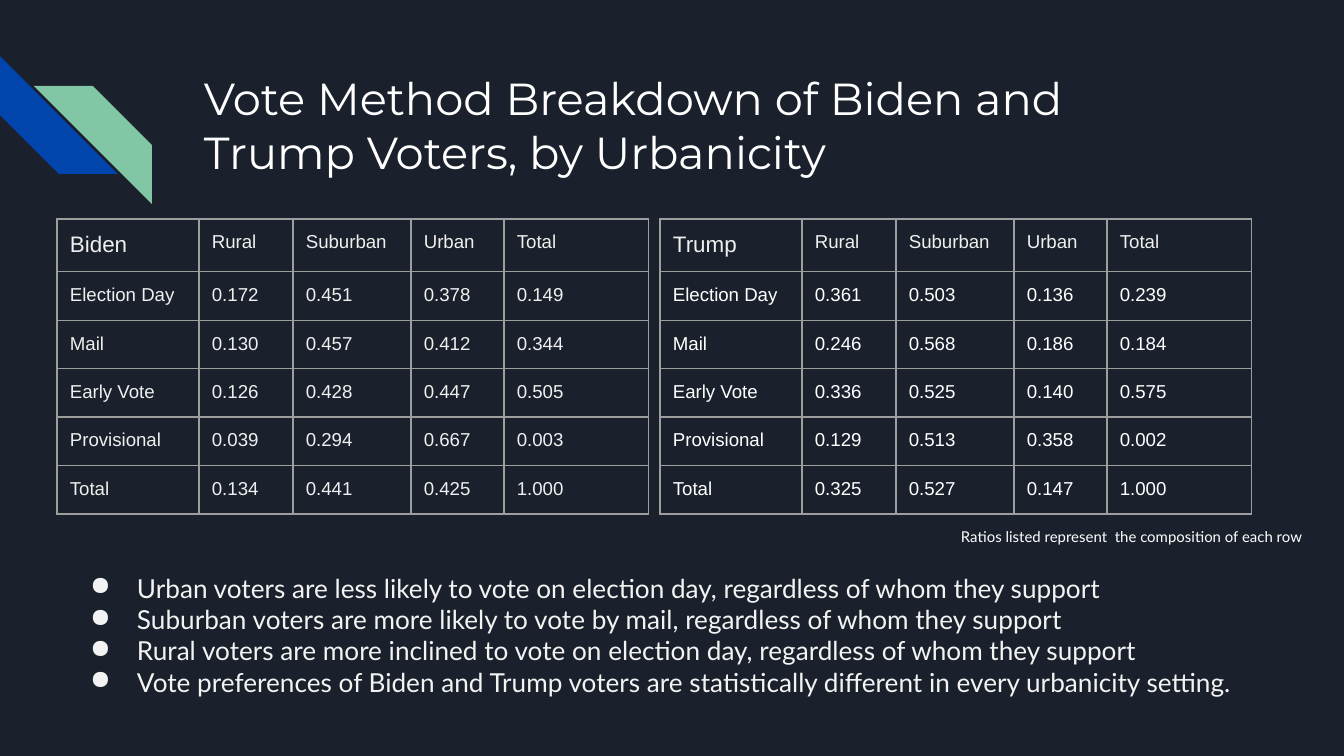
from lxml import etree
from pptx import Presentation
from pptx import util as u
from pptx.dml.color import RGBColor
from pptx.enum import shapes, text
from pptx.oxml import ns

TITLE = "Vote Method Breakdown of Biden and Trump Voters, by Urbanicity"
NOTE = "Ratios listed represent  the composition of each row"
FINDINGS = [
    "Urban voters are less likely to vote on election day, regardless of whom they support",
    "Suburban voters are more likely to vote by mail, regardless of whom they support",
    "Rural voters are more inclined to vote on election day, regardless of whom they support",
    "Vote preferences of Biden and Trump voters are statistically different in every urbanicity setting.",
]
AREAS = ["Rural", "Suburban", "Urban", "Total"]
METHODS = ["Election Day", "Mail", "Early Vote", "Provisional", "Total"]
# candidate, left edge, body colour, ratios by method
TABLES = [
    ("Biden", 57, "EFEFEF", [
        ["0.172", "0.451", "0.378", "0.149"],
        ["0.130", "0.457", "0.412", "0.344"],
        ["0.126", "0.428", "0.447", "0.505"],
        ["0.039", "0.294", "0.667", "0.003"],
        ["0.134", "0.441", "0.425", "1.000"],
    ]),
    ("Trump", 660, "FFFFFF", [
        ["0.361", "0.503", "0.136", "0.239"],
        ["0.246", "0.568", "0.186", "0.184"],
        ["0.336", "0.525", "0.140", "0.575"],
        ["0.129", "0.513", "0.358", "0.002"],
        ["0.325", "0.527", "0.147", "1.000"],
    ]),
]
# left, top, fill, rotation, mirrored
STRIPES = [(0, 56, "0145AC", 270, False), (34, 86, "82C7A5", 0, True)]
COLUMNS = [142, 94, 118, 93, 145]
TABLE_TOP, ROW, STRIPE, INSET = 219, 43, 118, 13
HEADER, BORDER = "EFEFEF", "9E9E9E"


def px(count):
    return u.Emu(round(count * 914400 / 134.4))


def color(value):
    return RGBColor.from_string(value)


def add_span(para, words, size, font, fill):
    span = para.add_run()
    span.text = words
    span.font.size = u.Pt(size)
    span.font.name = font
    span.font.color.rgb = color(fill)


def set_insets(target):
    for side in ("left", "right", "top", "bottom"):
        setattr(target, f"margin_{side}", px(INSET))


def add_bullet(para, fill):
    props = para._p.get_or_add_pPr()
    props.set("marL", str(px(67)))
    props.set("indent", str(-px(47)))
    tint = etree.SubElement(props, ns.qn("a:buClr"))
    etree.SubElement(tint, ns.qn("a:srgbClr"), val=fill)
    etree.SubElement(props, ns.qn("a:buChar"), char="●")


def add_text(page, place, lines, size, font, fill, bullets=False):
    frame = page.shapes.add_textbox(*map(px, place)).text_frame
    frame.word_wrap = True
    set_insets(frame)
    for index, line in enumerate(lines):
        para = frame.add_paragraph() if index else frame.paragraphs[0]
        if bullets:
            add_bullet(para, fill)
        add_span(para, line, size, font, fill)
    return frame


def add_borders(cell):
    props = cell._tc.get_or_add_tcPr()
    for side in "LRTB":
        line = etree.SubElement(props, ns.qn(f"a:ln{side}"), w=str(u.Pt(0.75)))
        solid = etree.SubElement(line, ns.qn("a:solidFill"))
        etree.SubElement(solid, ns.qn("a:srgbClr"), val=BORDER)


def add_vote_table(page, candidate, left, body, ratios):
    rows = [[candidate, *AREAS]]
    rows += [[method, *values] for method, values in zip(METHODS, ratios)]
    place = (left, TABLE_TOP, sum(COLUMNS), ROW * len(rows))
    table = page.shapes.add_table(len(rows), len(COLUMNS), *map(px, place)).table
    table.first_row = table.horz_banding = False
    for column, width in zip(table.columns, COLUMNS):
        column.width = px(width)
    for r, row in enumerate(rows):
        for c, words in enumerate(row):
            cell = table.cell(r, c)
            set_insets(cell)
            add_borders(cell)
            cell.fill.background()
            size = 12 if r == c == 0 else 10
            add_span(cell.text_frame.paragraphs[0], words, size, "Arial", body if r else HEADER)


def add_stripe(page, left, top, fill, rotation, mirrored):
    stripe = page.shapes.add_shape(
        shapes.MSO_SHAPE.DIAGONAL_STRIPE, px(left), px(top), px(STRIPE), px(STRIPE))
    stripe.adjustments[0] = 0.5
    stripe.rotation = rotation
    stripe.shadow.inherit = False
    stripe.fill.solid()
    stripe.fill.fore_color.rgb = color(fill)
    stripe.line.fill.background()
    if mirrored:
        stripe._element.spPr.xfrm.set("flipH", "1")


def main():
    deck = Presentation()
    deck.slide_width, deck.slide_height = px(1344), px(756)
    page = deck.slides.add_slide(deck.slide_layouts[6])
    page.background.fill.solid()
    page.background.fill.fore_color.rgb = color("1B212C")
    for stripe in STRIPES:
        add_stripe(page, *stripe)
    title = add_text(page, (191, 58, 1035, 134), [TITLE], 24, "Montserrat", "FFFFFF")
    title.vertical_anchor = text.MSO_ANCHOR.MIDDLE
    for vote_table in TABLES:
        add_vote_table(page, *vote_table)
    add_text(page, (57, 559, 1249, 175), FINDINGS, 14, "Lato", "F3F3F3", bullets=True)
    add_text(page, (948, 519, 527, 46), [NOTE], 8, "Lato", "FFFFFF")
    deck.save("out.pptx")


if __name__ == "__main__":
    main()
